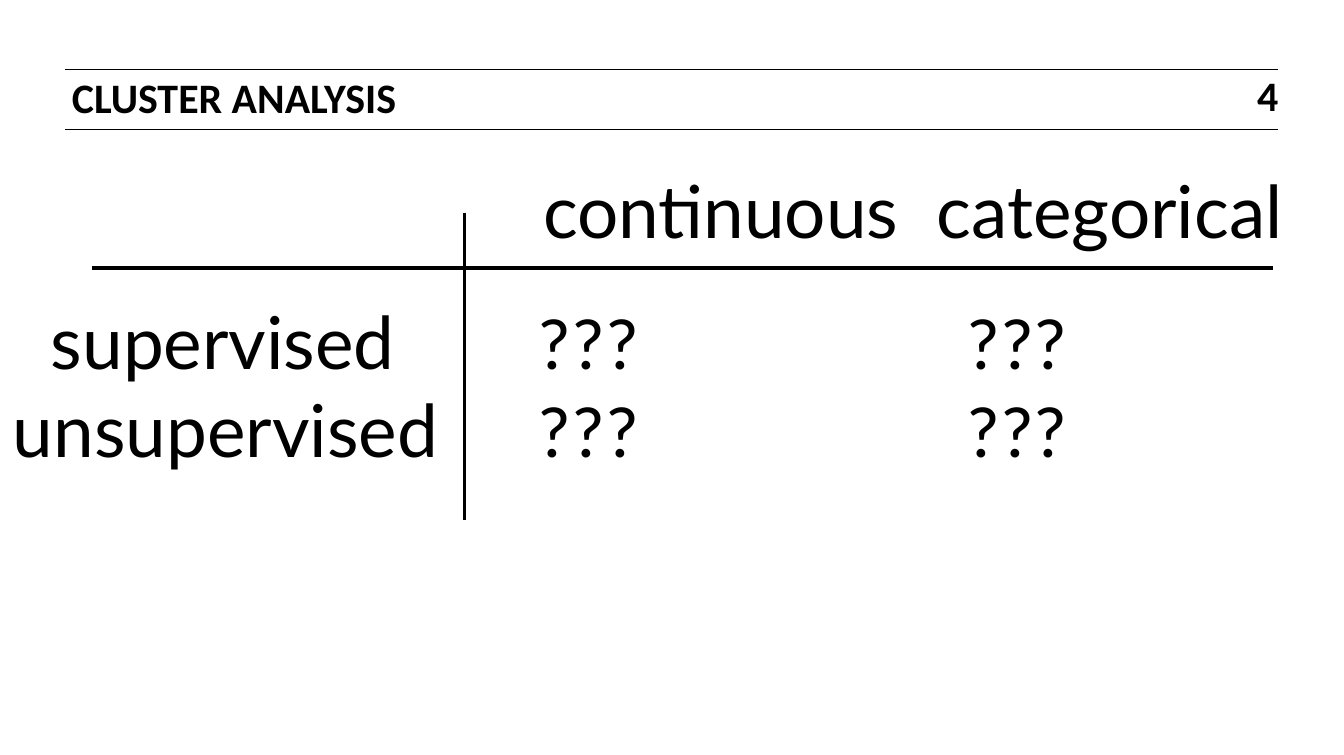
"""Build the cluster analysis slide: a header band and a two-by-two method grid."""
from dataclasses import dataclass

from lxml import etree
from pptx import Presentation
from pptx import util as u
from pptx.dml.color import RGBColor
from pptx.enum import shapes, text
from pptx.oxml import ns
from pptx.slide import Slide

WIDTH, HEIGHT = u.Inches(10.24), u.Inches(5.75)
COLUMNS, ROWS = 64, 46
MARGIN = 3.12


@dataclass(frozen=True)
class Theme:
    ink: RGBColor = RGBColor(0, 0, 0)
    paper: RGBColor = RGBColor(255, 255, 255)
    header_font: str = "Calibri"
    label_font: str = "Lato"
    header_size: float = 23
    grid_size: float = 40
    header_rule: float = 0.5
    grid_rule: float = 2


@dataclass(frozen=True)
class Rule:
    start: tuple[float, float]
    end: tuple[float, float]
    weight: float


@dataclass(frozen=True)
class Box:
    left: float
    top: float
    width: float
    height: float


@dataclass(frozen=True)
class Tab:
    column: float
    align: str = "l"


THEME = Theme()
Line = list[tuple[str, str]]

RULES = [
    *(Rule((MARGIN, row), (COLUMNS - MARGIN, row), THEME.header_rule) for row in (4.24, 7.92)),
    Rule((22.12, 12.96), (22.12, 31.68), THEME.grid_rule),
    Rule((4.38, 16.32), (60.62, 16.32), THEME.grid_rule),
]
METHODS = ["supervised", "unsupervised"]


def across(columns: float) -> int:
    """Turn grid columns into a length."""
    return round(WIDTH * columns / COLUMNS)


def down(rows: float) -> int:
    """Turn grid rows into a length."""
    return round(HEIGHT * rows / ROWS)


def draw_rule(slide: Slide, rule: Rule) -> None:
    """Draw one straight rule without a shadow."""
    stroke = slide.shapes.add_connector(
        shapes.MSO_CONNECTOR.STRAIGHT,
        across(rule.start[0]), down(rule.start[1]),
        across(rule.end[0]), down(rule.end[1]),
    )
    stroke.line.color.rgb = THEME.ink
    stroke.line.width = u.Pt(rule.weight)
    etree.SubElement(stroke._element.spPr, ns.qn("a:effectLst"))


def write(
    slide: Slide,
    box: Box,
    lines: list[Line],
    *,
    size: float,
    bold: bool = False,
    spacing: float | None = None,
    align: text.PP_ALIGN = text.PP_ALIGN.LEFT,
    anchor: text.MSO_ANCHOR = text.MSO_ANCHOR.TOP,
    insets: tuple[float, float, float, float] = (0.1, 0.05, 0.1, 0.05),
    wrap: bool = True,
    tabs: tuple[Tab, ...] = (),
) -> None:
    """Write lines of (words, font) runs in a text box."""
    frame = slide.shapes.add_textbox(
        across(box.left), down(box.top), across(box.width), down(box.height)
    ).text_frame
    frame.word_wrap = wrap
    frame.vertical_anchor = anchor
    frame.margin_left, frame.margin_top, frame.margin_right, frame.margin_bottom = map(
        u.Inches, insets
    )
    for index, line in enumerate(lines):
        paragraph = frame.add_paragraph() if index else frame.paragraphs[0]
        paragraph.alignment = align
        if spacing:
            paragraph.line_spacing = u.Pt(spacing)
        if tabs:
            stops = etree.SubElement(paragraph._p.get_or_add_pPr(), ns.qn("a:tabLst"))
            for tab in tabs:
                etree.SubElement(
                    stops, ns.qn("a:tab"), pos=str(across(tab.column)), algn=tab.align
                )
        for words, font in line:
            run = paragraph.add_run()
            run.text = words
            run.font.name = font
            run.font.size = u.Pt(size)
            run.font.bold = bold
            run.font.color.rgb = THEME.ink


def main() -> None:
    """Assemble and save the slide."""
    deck = Presentation()
    deck.slide_width, deck.slide_height = WIDTH, HEIGHT
    slide = deck.slides.add_slide(deck.slide_layouts[6])
    slide.background.fill.solid()
    slide.background.fill.fore_color.rgb = THEME.paper

    for rule in RULES:
        draw_rule(slide, rule)

    write(
        slide, Box(2.81, 4.32, 43.75, 2.64), [[("CLUSTER ANALYSIS", THEME.header_font)]],
        size=THEME.header_size, bold=True, spacing=24.5,
    )
    write(
        slide, Box(59.13, 4.64, 1.75, 2.72), [[("4", THEME.header_font)]],
        size=THEME.header_size, bold=True, spacing=23, align=text.PP_ALIGN.RIGHT,
        anchor=text.MSO_ANCHOR.MIDDLE, insets=(0.07, 0.04, 0, 0.04), wrap=False,
    )
    write(
        slide, Box(25.25, 9.68, 37.5, 6.16),
        [[("continuous\tcategorical", THEME.label_font)]],
        size=THEME.grid_size, tabs=(Tab(18.75),),
    )
    write(
        slide, Box(0, 17.68, 55.38, 11.6),
        [
            [(f"\t{method}\t", THEME.label_font), ("???\t???", THEME.header_font)]
            for method in METHODS
        ],
        size=THEME.grid_size, tabs=(Tab(10, "ctr"), Tab(25), Tab(45.4)),
    )
    deck.save("out.pptx")


if __name__ == "__main__":
    main()
